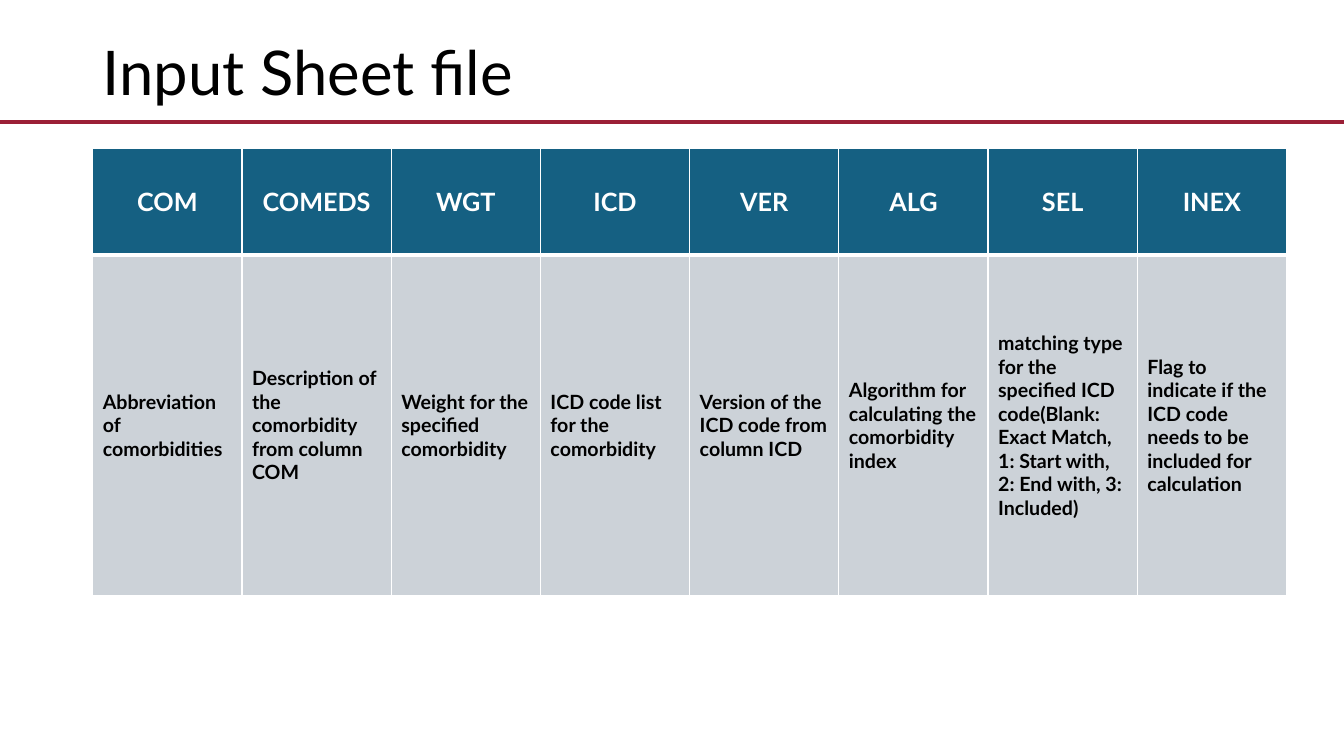
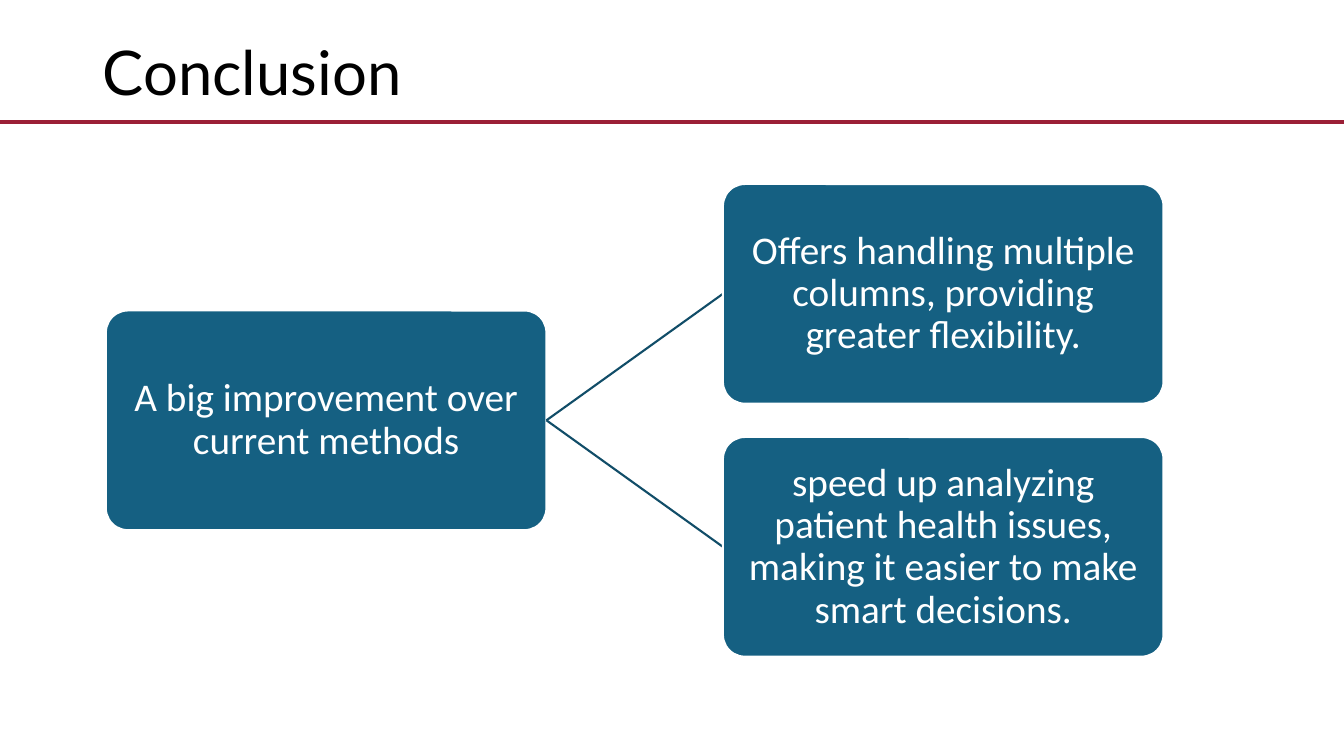
from lxml import etree
from pptx import Presentation
from pptx.dml.color import RGBColor
from pptx.enum import shapes, text
from pptx.oxml import ns
from pptx.util import Inches, Pt

COLORS = {
    "title": "000000",
    "rule": "9B1F36",
    "main": "156082",
    "link": "114D68",
    "cell": "CCD2D8",
    "white": "FFFFFF",
}
SLIDE_WIDTH, SLIDE_HEIGHT = 13.33, 7.5
MARGIN = 0.92

COLUMNS = [
    ("COM", "Abbreviation of comorbidities"),
    ("COMEDS", "Description of the comorbidity from column COM"),
    ("WGT", "Weight for the specified comorbidity"),
    ("ICD", "ICD code list for the comorbidity"),
    ("VER", "Version of the ICD code from column ICD"),
    ("ALG", "Algorithm for calculating the comorbidity index"),
    ("SEL", "matching type for the specified ICD code(Blank: Exact Match, "
            "1: Start with, 2: End with, 3: Included)"),
    ("INEX", "Flag to indicate if the ICD code needs to be included for calculation"),
]

BOX_WIDTH, BOX_HEIGHT = 4.37, 2.18
ROOT_LEFT, BRANCH_LEFT = 1.05, 7.17
TREE_MIDDLE, BRANCH_PITCH = 4.17, 2.51
ROOT = "A big improvement over current methods"
BRANCHES = [
    "Offers handling multiple columns, providing greater flexibility.",
    "speed up analyzing patient health issues, making it easier to make smart decisions.",
]


def rgb(name):
    return RGBColor.from_string(COLORS[name])


def write(frame, words, *, size, color, font="Lato", bold=False,
          align=text.PP_ALIGN.LEFT, spacing=1.0):
    frame.word_wrap = True
    frame.vertical_anchor = text.MSO_ANCHOR.MIDDLE
    para = frame.paragraphs[0]
    para.alignment = align
    para.line_spacing = spacing
    span = para.add_run()
    span.text = words
    span.font.name = font
    span.font.size = Pt(size)
    span.font.bold = bold
    span.font.color.rgb = rgb(color)


def add_line(page, start, end, color, width):
    ends = [Inches(value) for value in (*start, *end)]
    line = page.shapes.add_connector(shapes.MSO_CONNECTOR.STRAIGHT, *ends)
    line.line.color.rgb = rgb(color)
    line.line.width = Pt(width)
    etree.SubElement(line._element.spPr, ns.qn("a:effectLst"))


def add_page(deck, title):
    """Add a blank slide with the shared title and the rule below it."""
    page = deck.slides.add_slide(deck.slide_layouts[6])
    box = page.shapes.add_textbox(Inches(MARGIN), Inches(0.02), Inches(11.5), Inches(1.45))
    write(box.text_frame, title, size=44, color="title", spacing=0.9)
    add_line(page, (0, 1.21), (SLIDE_WIDTH, 1.21), "rule", 3)
    return page


def set_borders(cell, **widths):
    """Draw white cell borders; widths in points are keyed L, R, T and B."""
    properties = cell._tc.get_or_add_tcPr()
    for side in "LRTB":
        border = etree.SubElement(properties, ns.qn(f"a:ln{side}"),
                                  w=str(Pt(widths.get(side, 1))))
        fill = etree.SubElement(border, ns.qn("a:solidFill"))
        etree.SubElement(fill, ns.qn("a:srgbClr"), val=COLORS["white"])


def fill_cell(cell, words, fill, borders, **style):
    set_borders(cell, **borders)
    cell.fill.solid()
    cell.fill.fore_color.rgb = rgb(fill)
    cell.vertical_anchor = text.MSO_ANCHOR.MIDDLE
    write(cell.text_frame, words, bold=True, **style)


def add_column_table(page, columns):
    row_heights = (1.06, 3.38)
    column_width = 1.48
    table = page.shapes.add_table(
        len(row_heights), len(columns), Inches(MARGIN), Inches(1.47),
        Inches(column_width * len(columns)), Inches(sum(row_heights))).table
    for row, height in zip(table.rows, row_heights):
        row.height = Inches(height)
    for index, (name, meaning) in enumerate(columns):
        table.columns[index].width = Inches(column_width)
        fill_cell(table.cell(0, index), name, "main", {"B": 3},
                  size=18, color="white", align=text.PP_ALIGN.CENTER)
        fill_cell(table.cell(1, index), meaning, "cell", {"T": 3}, size=14, color="title")


def add_box(page, left, middle, words):
    """Add a rounded box centred vertically on middle."""
    box = page.shapes.add_shape(
        shapes.MSO_SHAPE.ROUNDED_RECTANGLE, Inches(left),
        Inches(middle - BOX_HEIGHT / 2), Inches(BOX_WIDTH), Inches(BOX_HEIGHT))
    box.adjustments[0] = 0.1
    box.shadow.inherit = False
    box.fill.solid()
    box.fill.fore_color.rgb = rgb("main")
    box.line.color.rgb = rgb("white")
    box.line.width = Pt(1.5)
    frame = box.text_frame
    frame.margin_left = frame.margin_right = Inches(0.02)
    frame.margin_top = frame.margin_bottom = Inches(0.02)
    write(frame, words, size=28, color="white", font="Calibri",
          align=text.PP_ALIGN.CENTER, spacing=0.9)


def add_tree(page, root, branches):
    add_box(page, ROOT_LEFT, TREE_MIDDLE, root)
    for index, words in enumerate(branches):
        middle = TREE_MIDDLE + (index - (len(branches) - 1) / 2) * BRANCH_PITCH
        add_line(page, (ROOT_LEFT + BOX_WIDTH, TREE_MIDDLE), (BRANCH_LEFT, middle), "link", 1.5)
        add_box(page, BRANCH_LEFT, middle, words)


def main():
    deck = Presentation()
    deck.slide_width = Inches(SLIDE_WIDTH)
    deck.slide_height = Inches(SLIDE_HEIGHT)
    add_column_table(add_page(deck, "Input Sheet file"), COLUMNS)
    add_tree(add_page(deck, "Conclusion"), ROOT, BRANCHES)
    deck.save("out.pptx")


if __name__ == "__main__":
    main()
